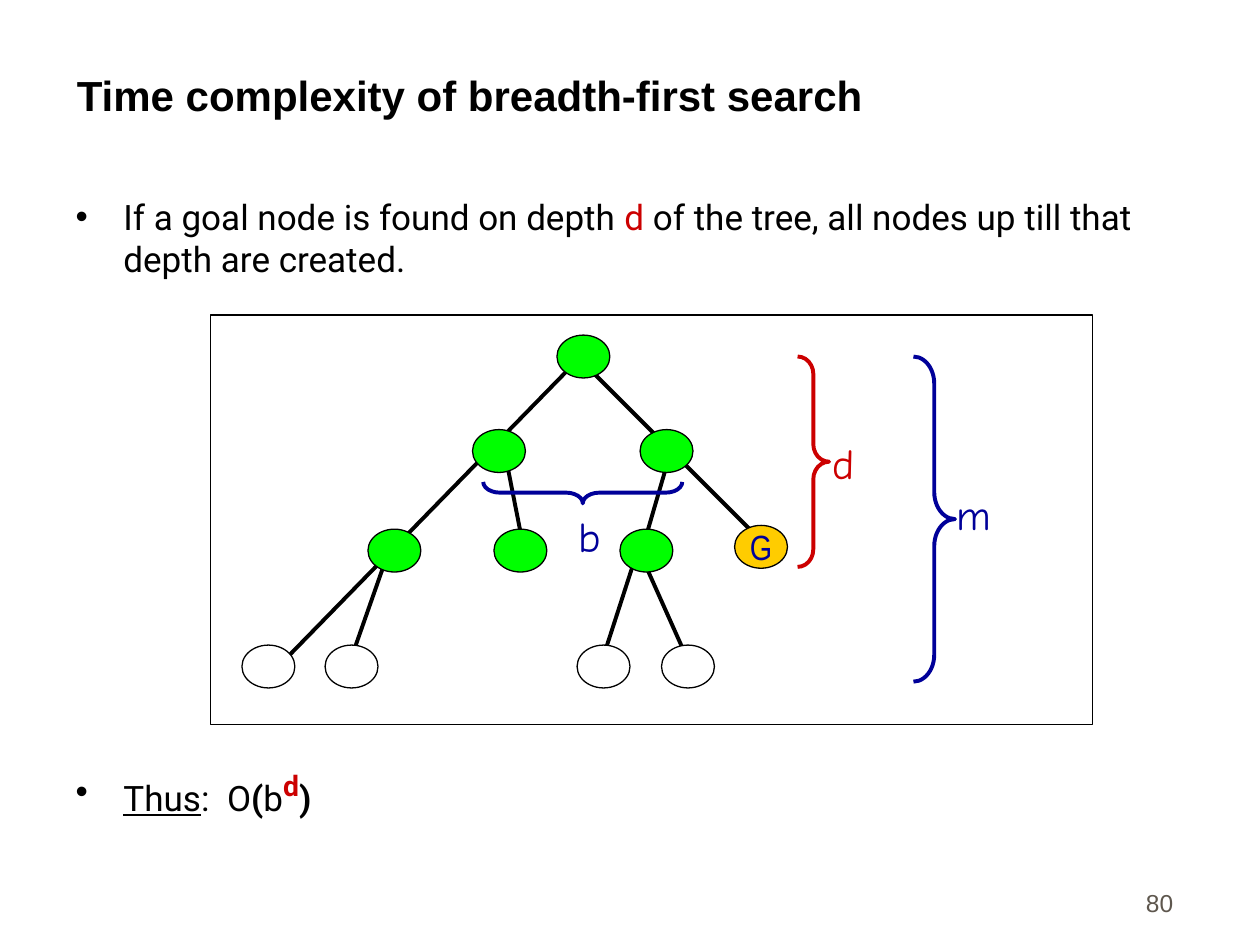
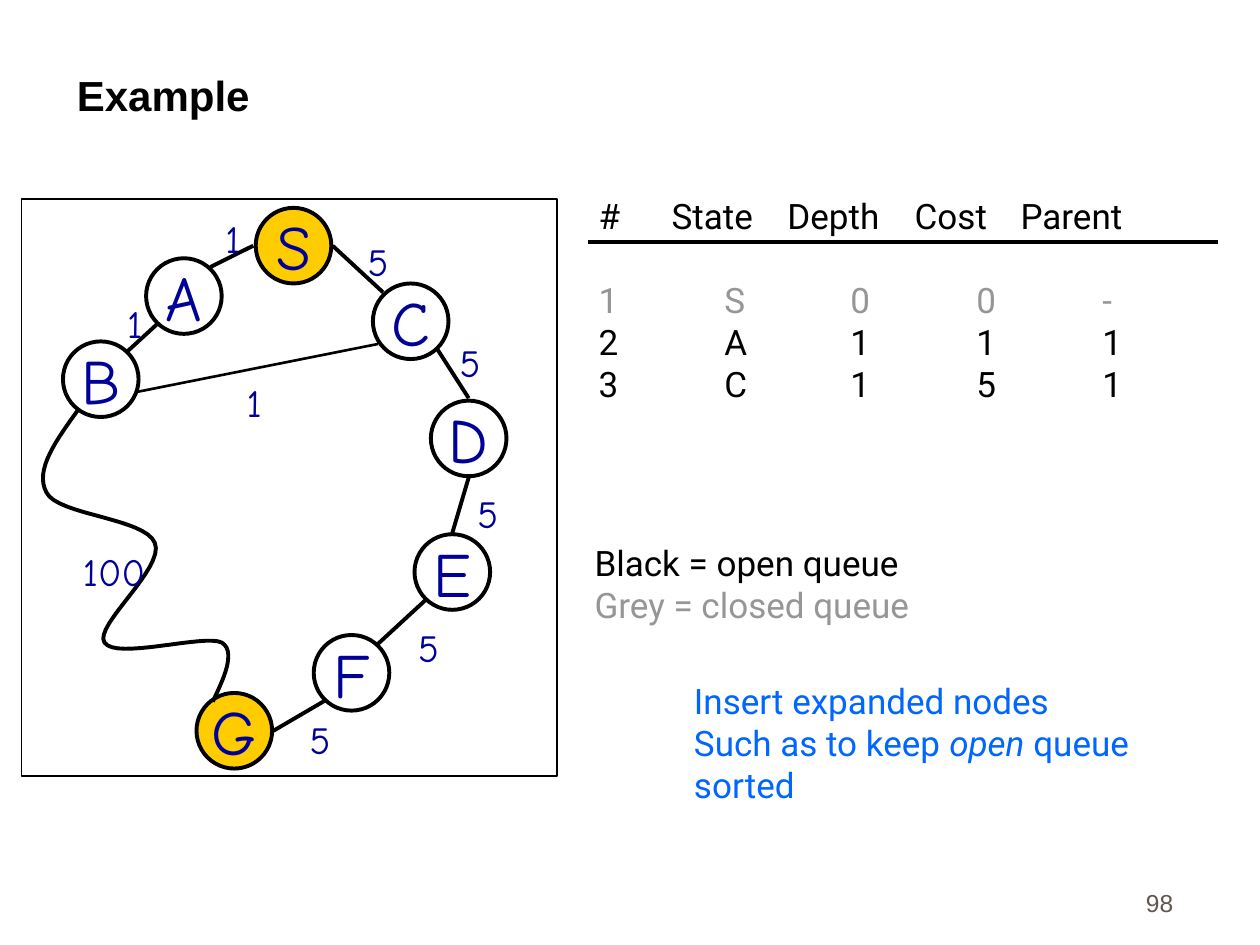
from dataclasses import dataclass

from lxml import etree
from pptx import Presentation
from pptx.dml.color import RGBColor
from pptx.enum.shapes import MSO_CONNECTOR, MSO_SHAPE
from pptx.enum.text import MSO_ANCHOR, MSO_AUTO_SIZE, PP_ALIGN
from pptx.oxml.ns import qn
from pptx.util import Inches, Pt

STRAIGHT = MSO_CONNECTOR.STRAIGHT
RECT, OVAL, BRACE = MSO_SHAPE.RECTANGLE, MSO_SHAPE.OVAL, MSO_SHAPE.RIGHT_BRACE
TOP, MIDDLE, BOTTOM = MSO_ANCHOR.TOP, MSO_ANCHOR.MIDDLE, MSO_ANCHOR.BOTTOM
LEFT, CENTER, RIGHT = PP_ALIGN.LEFT, PP_ALIGN.CENTER, PP_ALIGN.RIGHT
NO_FIT = MSO_AUTO_SIZE.NONE
TWO_CONTENT, TITLE_ONLY = 3, 5


@dataclass(frozen=True)
class Theme:
    black: str = "000000"
    white: str = "FFFFFF"
    red: str = "CC0000"
    navy: str = "000099"
    blue: str = "0066FF"
    green: str = "00FF00"
    gold: str = "FFCC00"
    grey: str = "969696"
    footer: str = "5E574E"
    head_font: str = "Arial"
    body_font: str = "Roboto"
    hand_font: str = "Comic Neue"
    narrow_font: str = "Arial Narrow"
    title_size: int = 24
    body_size: int = 20
    power_size: int = 28
    letter_size: int = 36
    label_size: int = 24
    cost_size: int = 22
    footer_size: int = 14
    thin: float = 0.75
    medium: float = 1.5
    thick: float = 2.25


T = Theme()

# Everything inside a panel is measured from the panel's top left corner.
TREE_EDGES = [
    ((2.91, 0.33), (4.41, 1.83)), ((3.41, 1.89), (3.83, 2.83)),
    ((3.41, 1.81), (3.08, 2.83)), ((1.41, 1.89), (1.08, 2.83)),
    ((3.66, 1.06), (3.41, 1.92)), ((2.33, 1.06), (2.5, 1.92)),
    ((3, 0.27), (0.5, 2.83)),
]
TREE_LEVELS = [  # top, lefts, fill
    (0.16, [2.75], T.green),
    (0.91, [2.08, 3.41], T.green),
    (1.7, [1.25, 2.25, 3.25], T.green),
    (2.62, [0.25, 0.91, 2.91, 3.58], T.white),
]
TREE_BRACES = [  # brace box, rotation, label, label box, colour
    ((4.66, 0.33, 0.25, 1.67), 0, "d", (4.84, 0.92, 0.37, 0.5), T.red),
    ((5.58, 0.33, 0.33, 2.58), 0, "m", (5.82, 1.33, 0.47, 0.5), T.navy),
    ((2.87, 0.62, 0.17, 1.58), 90, "b", (2.82, 1.5, 0.38, 0.5), T.navy),
]
GRAPH_NODES = {
    "S": (1.86, 0.07), "A": (0.99, 0.47), "B": (0.33, 1.13), "C": (2.79, 0.67),
    "D": (3.25, 1.6), "E": (3.12, 2.66), "F": (2.32, 3.46), "G": (1.39, 3.92),
}
GRAPH_EDGES = [  # start, end, cost, cost position, line width
    ((1.84, 0.37), (1.5, 0.54), "1", (1.52, 0.08), T.thick),
    ((2.47, 0.37), (2.87, 0.74), "5", (2.65, 0.26), T.thick),
    ((1.08, 0.99), (0.84, 1.21), "1", (0.74, 0.75), T.thick),
    ((0.92, 1.53), (2.83, 1.15), "1", (1.69, 1.38), T.medium),
    ((3.3, 1.19), (3.55, 1.58), "5", (3.38, 1.06), T.thick),
    ((3.55, 2.21), (3.42, 2.65), "5", (3.52, 2.26), T.thick),
    ((3.21, 3.18), (2.83, 3.53), "5", (3.05, 3.32), T.thick),
    ((2.41, 3.98), (2, 4.22), "5", (2.19, 4.05), T.thick),
]
COST_WIDTHS = {"1": 0.32, "5": 0.36, "100": 0.69}
LONG_ROAD_START = (0.46, 1.66)
LONG_ROAD = [
    ((0.28, 1.91), (0.1, 2.15), (0.2, 2.33)),
    ((0.29, 2.51), (0.98, 2.53), (1.06, 2.73)),
    ((1.14, 2.93), (0.57, 3.39), (0.66, 3.52)),
    ((0.75, 3.66), (1.45, 3.45), (1.59, 3.52)),
    ((1.73, 3.6), (1.55, 3.91), (1.52, 3.99)),
]
HEADER = [("#", 0), ("State", 0.58), ("Depth", 1.5), ("Cost", 2.51), ("Parent", 3.35)]
QUEUE = [("1S00-", T.grey), ("2A111", T.black), ("3C151", T.black)]


def rgb(color):
    return RGBColor.from_string(color)


def place(sp, box):
    sp.left, sp.top, sp.width, sp.height = map(Inches, box)


def shifted(origin, box):
    """Move a box or point from panel coordinates to slide coordinates."""
    return (origin[0] + box[0], origin[1] + box[1], *box[2:])


def add_run(p, text, color=T.black, size=T.body_size, font=T.body_font,
            bold=False, italic=False, underline=False, raised=0):
    r = p.add_run()
    r.text = text
    f = r.font
    f.name, f.size, f.bold, f.italic, f.underline = font, Pt(size), bold, italic, underline
    f.color.rgb = rgb(color)
    if raised:
        r._r.get_or_add_rPr().set("baseline", str(raised * 1000))


def add_text(s, box, paragraphs, wrap=False, anchor=TOP, align=LEFT):
    """Each paragraph is a list of (text, run options)."""
    sp = s.shapes.add_textbox(*map(Inches, box))
    tf = sp.text_frame
    tf.word_wrap, tf.vertical_anchor = wrap, anchor
    for i, runs in enumerate(paragraphs):
        p = tf.add_paragraph() if i else tf.paragraphs[0]
        p.alignment = align
        for text, options in runs:
            add_run(p, text, **options)


def add_label(s, box, text, color, size):
    add_text(s, box, [[(text, dict(color=color, size=size, font=T.hand_font))]])


def add_shape(s, kind, box, fill=None, line=T.black, width=T.thin):
    sp = s.shapes.add_shape(kind, *map(Inches, box))
    style_outline(sp, line, width)
    if fill:
        sp.fill.solid()
        sp.fill.fore_color.rgb = rgb(fill)
    else:
        sp.fill.background()
    return sp


def style_outline(sp, color, width):
    sp.shadow.inherit = False
    sp.line.color.rgb = rgb(color)
    sp.line.width = Pt(width)


def add_node(s, box, fill, width, letter="", **options):
    sp = add_shape(s, OVAL, box, fill, width=width)
    if letter:
        tf = sp.text_frame
        tf.word_wrap, tf.vertical_anchor = False, MIDDLE
        p = tf.paragraphs[0]
        p.alignment = CENTER
        add_run(p, letter, T.navy, **options)


def add_line(s, start, end, width=T.thick):
    sp = s.shapes.add_connector(STRAIGHT, *map(Inches, (*start, *end)))
    sp.line.color.rgb = rgb(T.black)
    sp.line.width = Pt(width)
    etree.SubElement(sp._element.spPr, qn("a:effectLst"))


def bezier(start, c1, c2, end, steps=16):
    """Points of a cubic curve, without its start."""
    for t in (i / steps for i in range(1, steps + 1)):
        u = 1 - t
        yield tuple(u**3 * a + 3 * u * u * t * b + 3 * u * t * t * c + t**3 * d
                    for a, b, c, d in zip(start, c1, c2, end))


def add_curve(s, origin, start, segments):
    points, last = [], start
    for segment in segments:
        points += bezier(last, *segment)
        last = segment[-1]
    points = [tuple(map(Inches, shifted(origin, pt))) for pt in points]
    fb = s.shapes.build_freeform(*map(Inches, shifted(origin, start)), scale=1.0)
    fb.add_line_segments(points, close=False)
    sp = fb.convert_to_shape()
    sp.fill.background()
    style_outline(sp, T.black, T.thick)


def start_slide(prs, layout, title, number):
    """Add a slide with the shared title style and page number."""
    s = prs.slides.add_slide(prs.slide_layouts[layout])
    sp = s.shapes.title
    place(sp, (0.51, 0.25, 8.92, 0.75))
    tf = sp.text_frame
    tf.vertical_anchor, tf.auto_size = BOTTOM, NO_FIT
    p = tf.paragraphs[0]
    p.alignment = LEFT
    add_run(p, title, size=T.title_size, font=T.head_font, bold=True)
    page = dict(color=T.footer, size=T.footer_size, font=T.head_font)
    add_text(s, (7.33, 6.83, 2.08, 0.5), [[(number, page)]], True, BOTTOM, RIGHT)
    return s


def fill_bullet(sp, box, runs):
    place(sp, box)
    tf = sp.text_frame
    tf.auto_size, tf.vertical_anchor = NO_FIT, TOP
    p = tf.paragraphs[0]
    p.space_before = Pt(5)
    pPr = p._p.get_or_add_pPr()
    pPr.set("marL", str(Inches(0.38)))
    pPr.set("indent", str(-Inches(0.38)))
    for text, options in runs:
        add_run(p, text, **options)


def draw_search_tree(s, box):
    add_shape(s, RECT, box, T.white)
    for start, end in TREE_EDGES:
        add_line(s, shifted(box, start), shifted(box, end))
    node = (0.42, 0.34)
    for top, lefts, fill in TREE_LEVELS:
        for left in lefts:
            add_node(s, shifted(box, (left, top, *node)), fill, T.thin)
    add_node(s, shifted(box, (4.16, 1.67, *node)), T.gold, T.thin, "G",
             size=T.body_size, font=T.narrow_font)
    for brace, rotation, label, label_box, color in TREE_BRACES:
        sp = add_shape(s, BRACE, shifted(box, brace), line=color, width=T.thick)
        sp.adjustments[0] = brace[3] / 12 / brace[2]
        sp.rotation = rotation
        add_label(s, shifted(box, label_box), label, color, T.label_size)


def draw_road_graph(s, box):
    add_shape(s, RECT, box, T.white)
    for letter, corner in GRAPH_NODES.items():
        fill = T.gold if letter in "SG" else T.white
        add_node(s, shifted(box, (*corner, 0.6, 0.6)), fill, T.thick, letter,
                 size=T.letter_size, font=T.hand_font)
    add_curve(s, box, LONG_ROAD_START, LONG_ROAD)
    for start, end, _, _, width in GRAPH_EDGES:
        add_line(s, shifted(box, start), shifted(box, end), width)
    costs = [(cost, corner) for _, _, cost, corner, _ in GRAPH_EDGES]
    for cost, corner in costs + [("100", (0.39, 2.72))]:
        add_label(s, shifted(box, (*corner, COST_WIDTHS[cost], 0.47)), cost,
                  T.navy, T.cost_size)


def fill_cell(cell, text, color, indent=0):
    cell.fill.background()
    cell.margin_left = Inches(indent)
    cell.margin_right = cell.margin_top = cell.margin_bottom = 0
    add_run(cell.text_frame.paragraphs[0], text, color)


def draw_queue_table(s, box):
    """Headings start each column; values stand one inch apart."""
    x, y, width, height = box
    row_height = height / (len(QUEUE) + 2)
    table = s.shapes.add_table(len(QUEUE) + 1, len(HEADER), *map(Inches, box)).table
    table.first_row = table.horz_banding = False
    edges = [left for _, left in HEADER] + [width]
    for i, (name, left) in enumerate(HEADER):
        table.columns[i].width = Inches(edges[i + 1] - left)
        fill_cell(table.cell(0, i), name, T.black)
        for j, (values, color) in enumerate(QUEUE, 1):
            fill_cell(table.cell(j, i), values[i], color, i - left)
    for j, row in enumerate(table.rows):
        row.height = Inches(row_height if j else 2 * row_height)
    add_line(s, (x - 0.08, y + 0.36), (x + 4.92, y + 0.36))


def build_complexity_slide(prs):
    s = start_slide(prs, TWO_CONTENT, "Time complexity of breadth-first search", "80")
    fill_bullet(s.placeholders[1], (0.5, 1.5, 9, 1.17), [
        ("If a goal node is found on depth ", {}), ("d", dict(color=T.red)),
        (" of the tree, all nodes up till that depth are created.", {})])
    draw_search_tree(s, (1.67, 2.5, 7, 3.25))
    fill_bullet(s.placeholders[2], (0.5, 6, 9, 1.08), [
        ("Thus", dict(underline=True)), (":  O", {}), ("(", dict(bold=True)), ("b", {}),
        ("d", dict(color=T.red, size=T.power_size, bold=True, raised=30)),
        (")", dict(bold=True))])


def build_example_slide(prs):
    s = start_slide(prs, TITLE_ONLY, "Example", "98")
    draw_road_graph(s, (0.17, 1.58, 4.25, 4.58))
    draw_queue_table(s, (4.75, 1.56, 4.79, 1.67))
    add_text(s, (4.62, 4.25, 2.85, 0.77), [
        [("Black = open queue", {})], [("Grey = closed queue", dict(color=T.grey))]])
    blue = dict(color=T.blue)
    add_text(s, (5.41, 5.34, 3.83, 1.1), [
        [("Insert expanded nodes", blue)],
        [("Such as to keep ", blue), ("open", dict(color=T.blue, italic=True)),
         (" queue", blue)],
        [("sorted", blue)]])


def main():
    prs = Presentation()
    prs.slide_width, prs.slide_height = Inches(10), Inches(7.5)
    build_complexity_slide(prs)
    build_example_slide(prs)
    prs.save("out.pptx")


if __name__ == "__main__":
    main()
